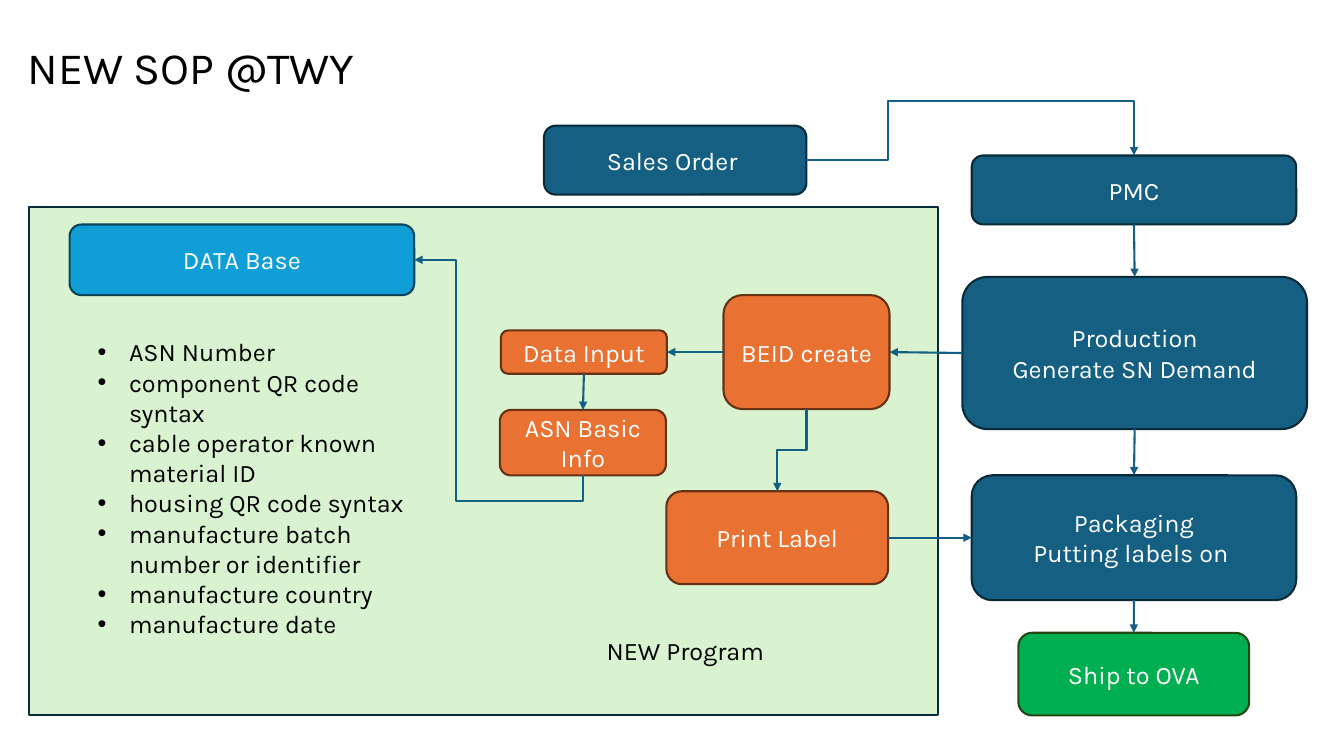
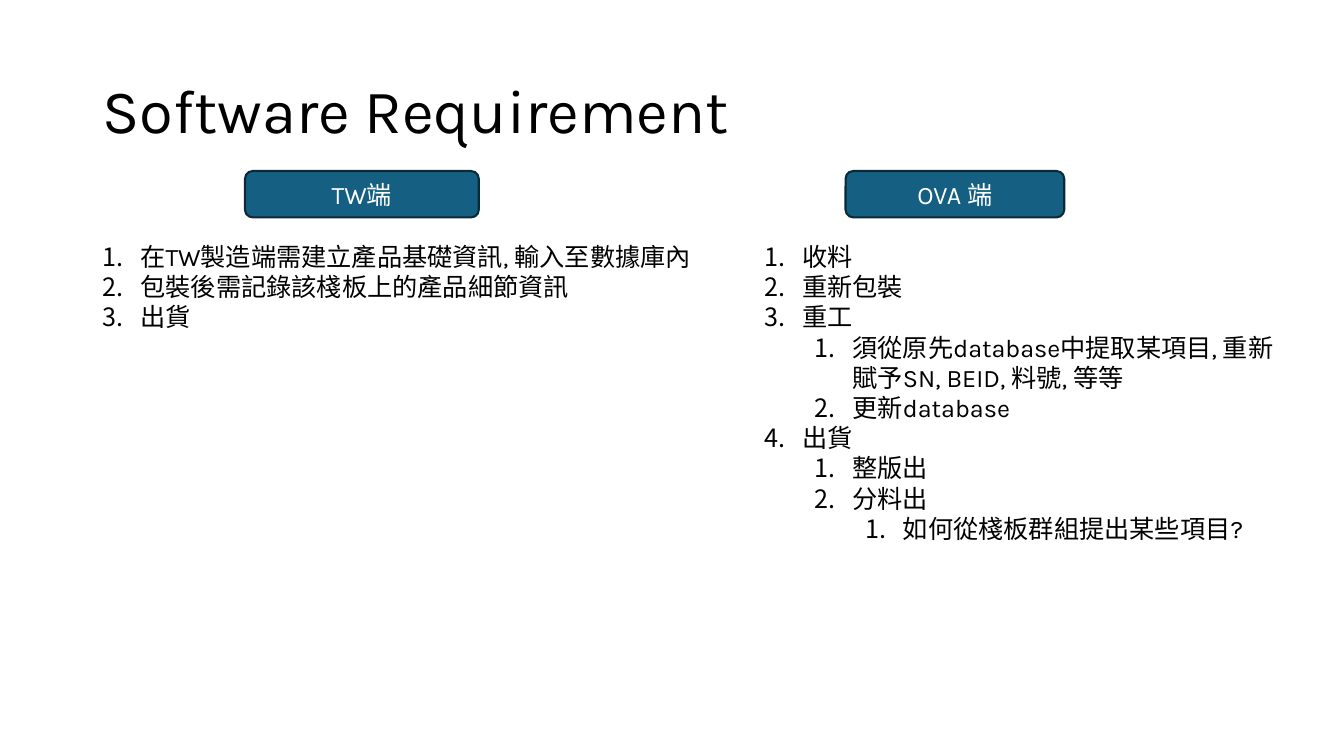
from pptx import Presentation
from pptx.dml.color import RGBColor
from pptx.enum import shapes, text
from pptx.oxml import parse_xml
from pptx.oxml.ns import nsdecls, qn
from pptx.util import Pt
from lxml import etree

FONT = "Karla"
C = {
    "blue": "156082", "blue_edge": "092A39",
    "orange": "E97132", "orange_edge": "663216",
    "sky": "0F9ED5", "sky_edge": "07455D",
    "green": "00B050", "green_edge": "224914",
    "panel": "D9F2D0", "panel_edge": "092A39",
    "white": "FFFFFF", "black": "000000",
}
KIND = shapes.MSO_SHAPE
TOP, LEFT, BOTTOM, RIGHT = range(4)


def add_box(s, pos, color, label, kind=KIND.ROUNDED_RECTANGLE):
    sp = s.shapes.add_shape(kind, *map(Pt, pos))
    sp.shadow.inherit = False
    sp.fill.solid()
    sp.fill.fore_color.rgb = RGBColor.from_string(C[color])
    sp.line.color.rgb = RGBColor.from_string(C[color + "_edge"])
    sp.line.width = Pt(1.5)
    tf = sp.text_frame
    tf.text = label
    tf.vertical_anchor = text.MSO_ANCHOR.MIDDLE
    for p in tf.paragraphs:
        p.alignment = text.PP_ALIGN.CENTER
        for r in p.runs:
            r.font.name, r.font.size = FONT, Pt(18)
            r.font.color.rgb = RGBColor.from_string(C["white"])
    return sp


def add_text(s, pos, items, size=18, bullet=(), indent=0, hang=0):
    sp = s.shapes.add_textbox(*map(Pt, pos))
    tf = sp.text_frame
    tf.word_wrap = True
    tf.text = "\n".join(label for level, label in items)
    for p, (level, label) in zip(tf.paragraphs, items):
        p.level = level
        r = p.runs[0]
        r.font.name, r.font.size = FONT, Pt(size)
        r.font.color.rgb = RGBColor.from_string(C["black"])
        if bullet:
            pPr = p._p.get_or_add_pPr()
            pPr.set("marL", str(Pt(indent + 36 * level)))
            pPr.set("indent", str(Pt(-hang)))
            for part in bullet:
                pPr.append(parse_xml(part))
    return tf


prs = Presentation()
prs.slide_width, prs.slide_height = Pt(960), Pt(540)
DOT = (f'<a:buFont {nsdecls("a")} typeface="Arial"/>',
       f'<a:buChar {nsdecls("a")} char="•"/>')
NUMBER = (f'<a:buAutoNum {nsdecls("a")} type="arabicPeriod"/>',)

slides = []
for title, pos, size in [
    ("NEW SOP @TWY", (12.5, -2.2, 828, 104.4), 32),
    ("Software Requirement", (66.2, 28.8, 828, 104.4), 44),
]:
    s = prs.slides.add_slide(prs.slide_layouts[6])
    tf = add_text(s, pos, [(0, title)], size)
    tf.vertical_anchor = text.MSO_ANCHOR.MIDDLE
    tf.paragraphs[0].line_spacing = 0.9
    slides.append(s)
sop, requirement = slides

add_box(sop, (20.9, 148, 649.4, 362.9), "panel", "", KIND.RECTANGLE)
boxes = {}
for name, color, label, pos in [
    ("print", "orange", "Print Label", (476, 350.9, 158.4, 66.4)),
    ("input", "orange", "Data Input", (357.8, 236, 118.6, 31)),
    ("production", "blue", "Production\nGenerate SN Demand", (687.4, 197.8, 246.2, 108.7)),
    ("pmc", "blue", "PMC", (694.1, 111.1, 231.8, 49.2)),
    ("beid", "orange", "BEID create", (516.8, 210.8, 118.6, 81.4)),
    ("packaging", "blue", "Packaging\nPutting labels on ", (694.1, 339.5, 231.8, 89.2)),
    ("order", "blue", "Sales Order ", (388.6, 89.8, 187.4, 49.2)),
    ("ship", "green", "Ship to OVA", (727.4, 452, 164.9, 59)),
    ("asn", "orange", "ASN Basic Info", (357.1, 292.8, 118.6, 46.8)),
    ("database", "sky", "DATA Base", (49.7, 160.4, 246.2, 50.4)),
]:
    boxes[name] = add_box(sop, pos, color, label)

add_text(sop, (426.2, 450, 208.8, 28.8), [(0, "NEW Program")])
add_text(sop, (26.6, 236.9, 277.9, 225), [(0, field) for field in (
    "ASN Number",
    "component QR code syntax",
    "cable operator known material ID",
    "housing QR code syntax",
    "manufacture batch number or identifier",
    "manufacture country",
    "manufacture date",
)], bullet=DOT, indent=58.5, hang=22.5)

for start, side, end, end_side, preset, turned, adjust in [
    ("pmc", BOTTOM, "production", TOP, None, False, ()),
    ("production", LEFT, "beid", RIGHT, None, False, ()),
    ("production", BOTTOM, "packaging", TOP, None, False, ()),
    ("packaging", BOTTOM, "ship", TOP, None, False, ()),
    ("beid", LEFT, "input", RIGHT, None, False, ()),
    ("input", BOTTOM, "asn", TOP, None, False, ()),
    ("print", RIGHT, "packaging", LEFT, None, False, ()),
    ("order", RIGHT, "pmc", TOP, "bentConnector4", False, (0.25, 12.8)),
    ("beid", BOTTOM, "print", TOP, "bentConnector3", True, (0.5,)),
    ("asn", BOTTOM, "database", RIGHT, "bentConnector4", True, (-0.12, 0.75)),
]:
    kind = shapes.MSO_CONNECTOR.ELBOW if preset else shapes.MSO_CONNECTOR.STRAIGHT
    cx = sop.shapes.add_connector(kind, 0, 0, 0, 0)
    cx.begin_connect(boxes[start], side)
    cx.end_connect(boxes[end], end_side)
    cx.line.color.rgb = RGBColor.from_string(C["blue"])
    cx.line.width = Pt(1.5)
    spPr = cx._element.spPr
    etree.SubElement(cx.line._get_or_add_ln(), qn("a:tailEnd"), type="triangle")
    etree.SubElement(spPr, qn("a:effectLst"))
    if preset:
        geom = spPr.find(qn("a:prstGeom"))
        geom.set("prst", preset)
        guides = geom.find(qn("a:avLst"))
        for i, value in enumerate(adjust, 1):
            etree.SubElement(guides, qn("a:gd"), name=f"adj{i}",
                             fmla=f"val {round(value * 100000)}")
    if turned:
        rising = cx.end_y < cx.begin_y
        w, h = cx.width, cx.height
        cx.left, cx.top = cx.left + (w - h) // 2, cx.top + (h - w) // 2
        cx.width, cx.height = h, w
        xfrm = spPr.find(qn("a:xfrm"))
        xfrm.set("rot", "5400000")
        xfrm.set("flipH", "1" if rising else "0")
        xfrm.set("flipV", "0")

for heading, head_pos, list_pos, steps in [
    ("TW端", (175, 122.2, 167, 33.1), (66.2, 168.7, 442.8, 94.3), [
        (0, "在TW製造端需建立產品基礎資訊, 輸入至數據庫內"),
        (0, "包裝後需記錄該棧板上的產品細節資訊"),
        (0, "出貨"),
    ]),
    ("OVA 端", (604, 122.2, 156.2, 33.1), (538.9, 168.7, 384.5, 269.3), [
        (0, "收料"),
        (0, "重新包裝"),
        (0, "重工"),
        (1, "須從原先database中提取某項目, 重新賦予SN, BEID, 料號, 等等"),
        (1, "更新database"),
        (0, "出貨"),
        (1, "整版出"),
        (1, "分料出"),
        (2, "如何從棧板群組提出某些項目?"),
    ]),
]:
    add_box(requirement, head_pos, "blue", heading)
    add_text(requirement, list_pos, steps, bullet=NUMBER, indent=27, hang=27)

prs.save("out.pptx")
